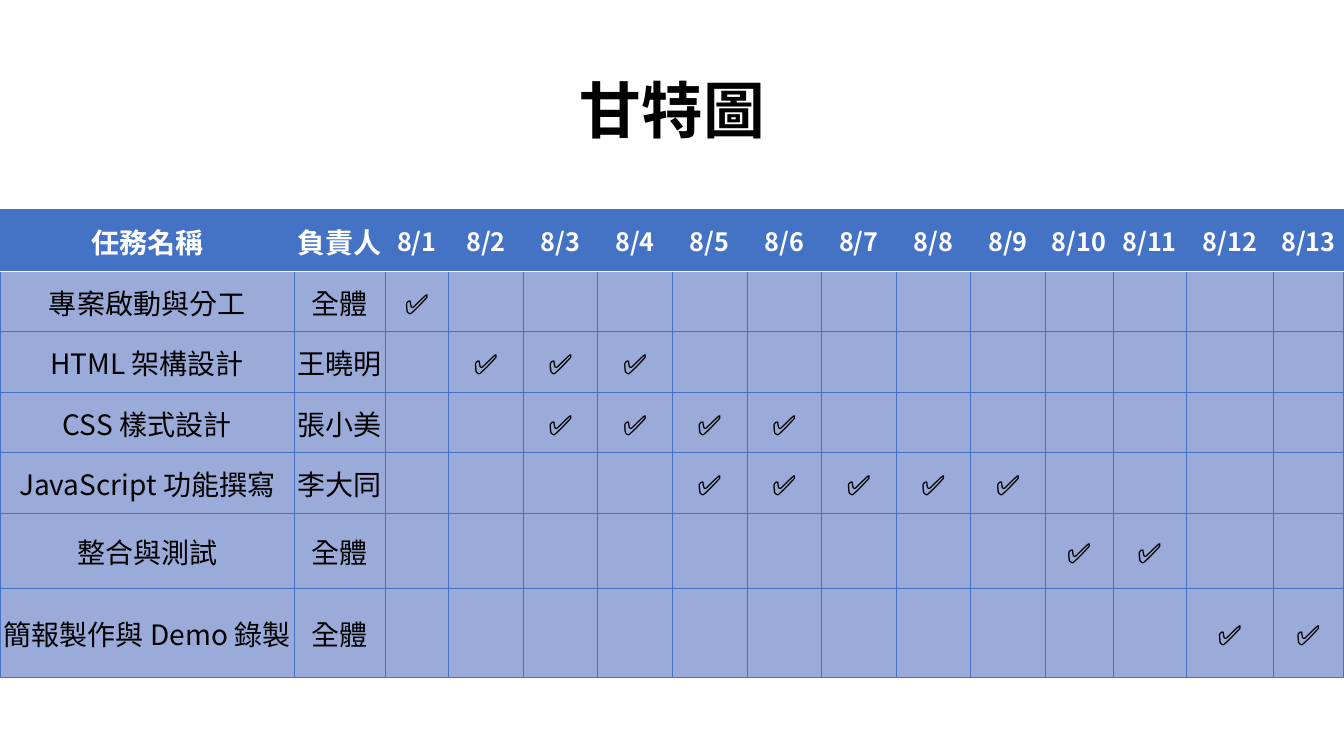
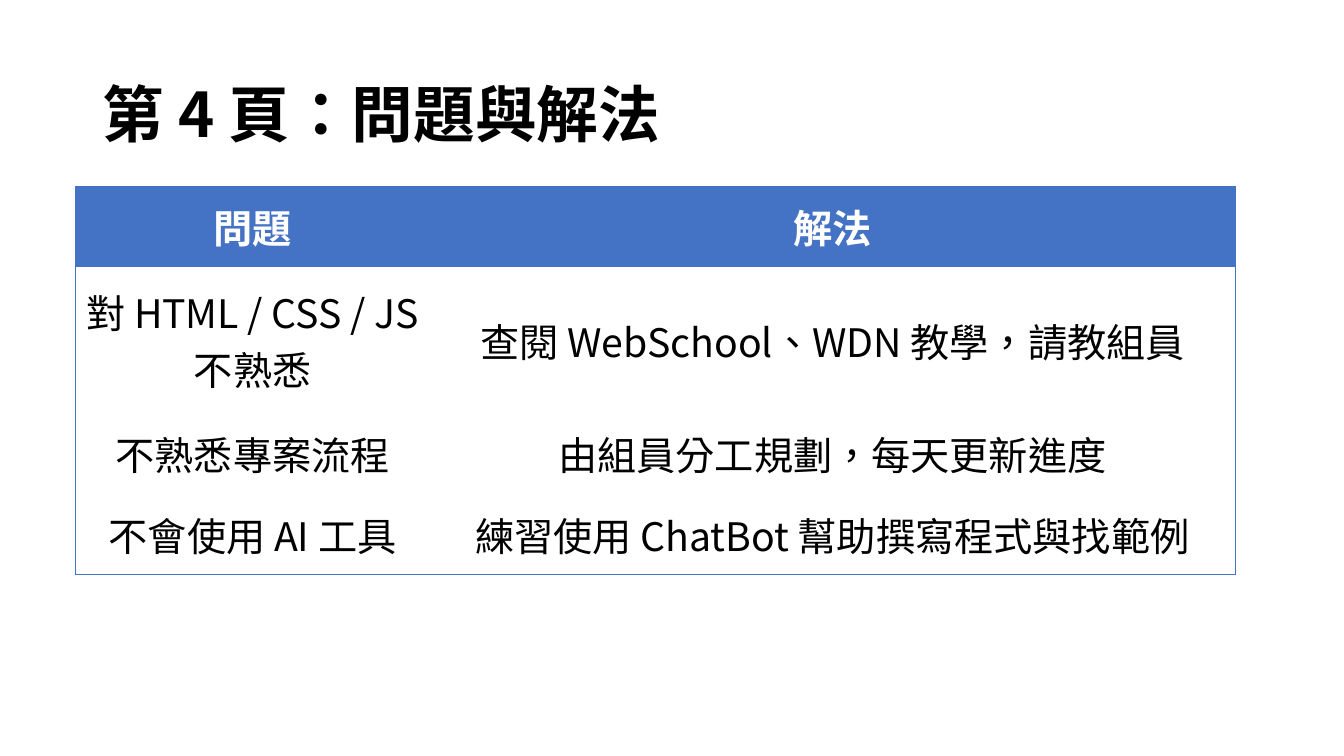
from dataclasses import dataclass
from typing import Optional

from lxml import etree
from pptx import Presentation
from pptx.dml.color import RGBColor
from pptx.enum.lang import MSO_LANGUAGE_ID
from pptx.enum.text import MSO_ANCHOR, PP_ALIGN
from pptx.oxml.ns import qn
from pptx.util import Emu, Inches, Pt

SLIDE_W, SLIDE_H = Inches(13.33), Inches(7.5)
BLANK_LAYOUT = 6

FONT = "Noto Sans CJK SC"
BLUE = RGBColor(0x44, 0x72, 0xC4)
PALE_BLUE = RGBColor(0x9B, 0xAB, 0xD9)
WHITE = RGBColor(0xFF, 0xFF, 0xFF)
BLACK = RGBColor(0x00, 0x00, 0x00)

LEFT, CENTER = PP_ALIGN.LEFT, PP_ALIGN.CENTER
MIDDLE = MSO_ANCHOR.MIDDLE
LANGUAGE = MSO_LANGUAGE_ID.TRADITIONAL_CHINESE

CHECK = "✅"
DAYS = 13


@dataclass(frozen=True)
class Task:
    name: str
    owner: str
    first_day: int
    last_day: int

    def row(self) -> list[str]:
        marks = [CHECK if self.first_day <= day <= self.last_day else ""
                 for day in range(1, DAYS + 1)]
        return [self.name, self.owner, *marks]


@dataclass(frozen=True)
class Border:
    color: RGBColor
    width: float


@dataclass(frozen=True)
class TableStyle:
    size: int
    header_sizes: tuple[int, int]  # first two columns, other columns
    body_fill: Optional[RGBColor]
    inner: Optional[Border]
    under_header: Optional[Border]
    tight: bool


@dataclass(frozen=True)
class Area:
    """Left, top, width and height as shares of the slide."""
    left: float
    top: float
    width: float
    height: float

    def box(self) -> tuple[Emu, Emu, Emu, Emu]:
        return (Emu(round(SLIDE_W * self.left)), Emu(round(SLIDE_H * self.top)),
                Emu(round(SLIDE_W * self.width)), Emu(round(SLIDE_H * self.height)))


OUTLINE = Border(BLUE, 0.5)
GANTT_STYLE = TableStyle(20, (20, 18), PALE_BLUE, OUTLINE, Border(WHITE, 1), True)
PROBLEM_STYLE = TableStyle(28, (28, 28), None, None, None, False)

TITLE_AREA = Area(0.069, 0.0533, 0.8627, 0.1933)
GANTT_AREA = Area(0, 0.2773, 1, 0.6187)
PROBLEM_AREA = Area(0.0563, 0.2467, 0.8627, 0.5133)

GANTT_COLS = [2.92, 0.9, 0.63] + [0.74] * 8 + [0.67, 0.73, 0.86, 0.7]
GANTT_ROWS = [0.61] + [0.6] * 4 + [0.75, 0.88]
PROBLEM_COLS = [3.51, 7.99]
PROBLEM_ROWS = [0.8, 1.45, 0.8, 0.8]

TASKS = [
    Task("專案啟動與分工", "全體", 1, 1),
    Task("HTML 架構設計", "王曉明", 2, 4),
    Task("CSS 樣式設計", "張小美", 3, 6),
    Task("JavaScript 功能撰寫", "李大同", 5, 9),
    Task("整合與測試", "全體", 10, 11),
    Task("簡報製作與 Demo 錄製", "全體", 12, 13),
]
GANTT = [["任務名稱", "負責人"] + [f"8/{day}" for day in range(1, DAYS + 1)]]
GANTT += [task.row() for task in TASKS]

PROBLEMS = [
    ["問題", "解法"],
    ["對 HTML / CSS / JS 不熟悉", "查閱 WebSchool、WDN 教學，請教組員"],
    ["不熟悉專案流程", "由組員分工規劃，每天更新進度"],
    ["不會使用 AI 工具", "練習使用 ChatBot 幫助撰寫程式與找範例"],
]


def format_text(tf, size: int, color: RGBColor, bold: bool, align) -> None:
    for p in tf.paragraphs:
        p.alignment = align
        for r in p.runs:
            r.font.size = Pt(size)
            r.font.bold = bold
            r.font.name = FONT
            r.font.color.rgb = color
            r.font.language_id = LANGUAGE
            east_asian = etree.SubElement(r.font._element, qn("a:ea"))
            east_asian.set("typeface", FONT)


def set_borders(cell, borders: dict[str, Optional[Border]]) -> None:
    """Put the lines before the cell's fill, as the schema asks."""
    tc_pr = cell._tc.get_or_add_tcPr()
    for index, side in enumerate("LRTB"):
        border = borders[side]
        line = etree.Element(qn(f"a:ln{side}"))
        if border is None:
            etree.SubElement(line, qn("a:noFill"))
        else:
            line.set("w", str(Pt(border.width)))
            fill = etree.SubElement(line, qn("a:solidFill"))
            etree.SubElement(fill, qn("a:srgbClr")).set("val", str(border.color))
        tc_pr.insert(index, line)


def fill_cell(cell, color: Optional[RGBColor]) -> None:
    if color is None:
        cell.fill.background()
    else:
        cell.fill.solid()
        cell.fill.fore_color.rgb = color


def share_out(total: int, weights: list[float]) -> list[Emu]:
    return [Emu(round(total * weight / sum(weights))) for weight in weights]


def add_title(slide, text: str, align, line_spacing: float) -> None:
    tf = slide.shapes.add_textbox(*TITLE_AREA.box()).text_frame
    tf.word_wrap = True
    tf.vertical_anchor = MIDDLE
    tf.text = text
    tf.paragraphs[0].line_spacing = line_spacing
    format_text(tf, 44, BLACK, True, align)


def add_grid(slide, area: Area, cols: list[float], rows: list[float],
             texts: list[list[str]], style: TableStyle) -> None:
    left, top, width, height = area.box()
    table = slide.shapes.add_table(len(rows), len(cols), left, top, width, height).table
    table.horz_banding = False
    for column, size in zip(table.columns, share_out(width, cols)):
        column.width = size
    for row, size in zip(table.rows, share_out(height, rows)):
        row.height = size

    last_row, last_col = len(rows) - 1, len(cols) - 1
    for i, row_texts in enumerate(texts):
        for j, text in enumerate(row_texts):
            cell = table.cell(i, j)
            header = i == 0
            cell.text = text
            cell.vertical_anchor = MIDDLE
            if style.tight:
                cell.margin_left = cell.margin_right = cell.margin_top = Inches(0.01)
                cell.margin_bottom = 0
            size = style.header_sizes[min(j // 2, 1)] if header else style.size
            format_text(cell.text_frame, size, WHITE if header else BLACK, header, CENTER)
            fill_cell(cell, BLUE if header else style.body_fill)
            set_borders(cell, {
                "L": OUTLINE if j == 0 else style.inner,
                "R": OUTLINE if j == last_col else style.inner,
                "T": OUTLINE if header else style.under_header if i == 1 else style.inner,
                "B": style.under_header if header else OUTLINE if i == last_row else style.inner,
            })


def main() -> None:
    prs = Presentation()
    prs.slide_width, prs.slide_height = SLIDE_W, SLIDE_H
    blank = prs.slide_layouts[BLANK_LAYOUT]

    gantt = prs.slides.add_slide(blank)
    add_title(gantt, "甘特圖", CENTER, 0.9)
    add_grid(gantt, GANTT_AREA, GANTT_COLS, GANTT_ROWS, GANTT, GANTT_STYLE)

    problems = prs.slides.add_slide(blank)
    add_title(problems, "第 4 頁：問題與解法", LEFT, 1.0)
    add_grid(problems, PROBLEM_AREA, PROBLEM_COLS, PROBLEM_ROWS, PROBLEMS, PROBLEM_STYLE)

    prs.save("out.pptx")


if __name__ == "__main__":
    main()
